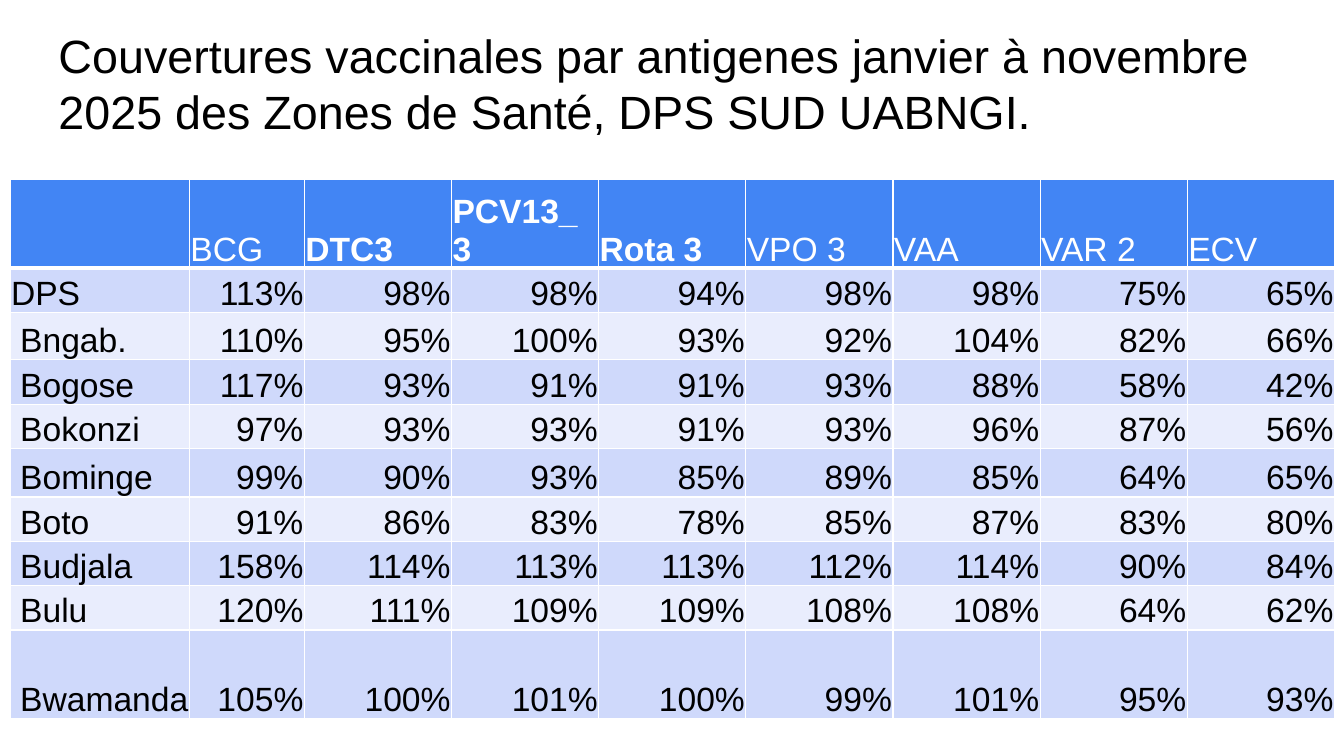
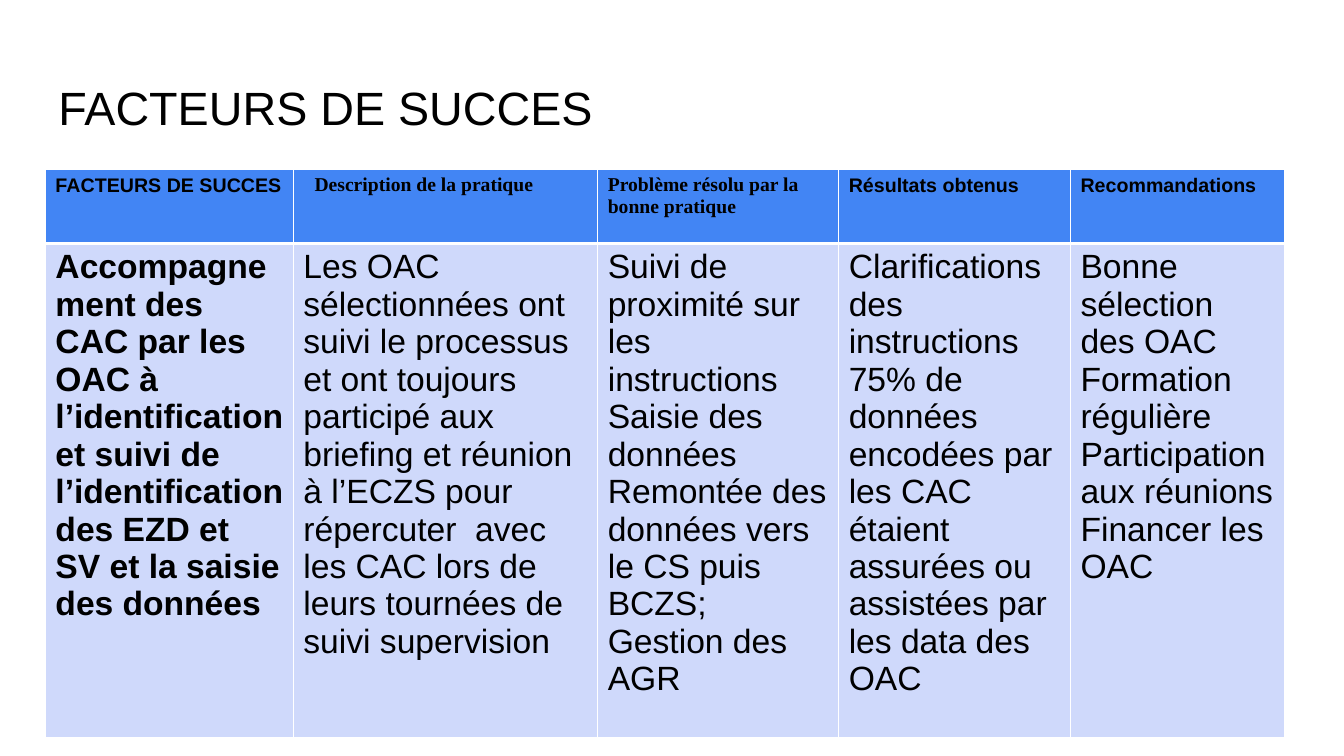
"""Build two slides on vaccine coverage and success factors, each a title over a table."""
from lxml.etree import SubElement
from pptx import Presentation
from pptx.dml.color import RGBColor
from pptx.enum.text import MSO_ANCHOR, PP_ALIGN
from pptx.oxml.ns import qn
from pptx.util import Inches, Pt

BLACK = RGBColor(0x00, 0x00, 0x00)
WHITE = RGBColor(0xFF, 0xFF, 0xFF)
HEADER_BLUE = RGBColor(0x42, 0x85, 0xF4)
BAND_BLUES = (RGBColor(0xCF, 0xD9, 0xFB), RGBColor(0xE9, 0xED, 0xFD))

deck = Presentation()
deck.slide_width, deck.slide_height = Inches(13.33), Inches(7.5)
COLUMN = deck.slide_width / 100
ROW = deck.slide_height / 100
TITLE_LEFT, TITLE_WIDTH = 3.38, 93.17
TITLE_FORMAT = {"name": "Arial", "size": Pt(33.3)}


def write(frame, text, color, font_format, alignment=PP_ALIGN.LEFT):
    for index, line in enumerate(text.split("\n")):
        para = frame.paragraphs[0] if index == 0 else frame.add_paragraph()
        para.alignment = alignment
        span = para.add_run()
        span.text = line
        span.font.color.rgb = color
        for name, value in font_format.items():
            setattr(span.font, name, value)


def add_titled_table(title, title_top, title_height, left, top, columns, rows):
    page = deck.slides.add_slide(deck.slide_layouts[6])
    box = page.shapes.add_textbox(
        int(TITLE_LEFT * COLUMN), int(title_top * ROW),
        int(TITLE_WIDTH * COLUMN), int(title_height * ROW))
    frame = box.text_frame
    frame.word_wrap = True
    for side in ("left", "right", "top", "bottom"):
        setattr(frame, f"margin_{side}", Inches(0.13))
    write(frame, title, BLACK, TITLE_FORMAT)

    table = page.shapes.add_table(
        len(rows), len(columns), int(left * COLUMN), int(top * ROW),
        int(sum(columns) * COLUMN), int(sum(rows) * ROW)).table
    for column, share in zip(table.columns, columns):
        column.width = int(share * COLUMN)
    for row, share in zip(table.rows, rows):
        row.height = int(share * ROW)
    for row_index, row in enumerate(table.rows):
        for cell in row.cells:
            properties = cell._tc.get_or_add_tcPr()
            for side in ("L", "R", "T", "B"):
                thick = (row_index, side) in ((0, "B"), (1, "T"))
                line = SubElement(properties, qn(f"a:ln{side}"), w=str(Pt(3 if thick else 1)))
                fill = SubElement(line, qn("a:solidFill"))
                SubElement(fill, qn("a:srgbClr"), val=str(WHITE))
            cell.fill.solid()
            cell.fill.fore_color.rgb = BAND_BLUES[(row_index - 1) % 2] if row_index else HEADER_BLUE
    return table


ANTIGENS = ("", "BCG", "DTC3", "PCV13_ 3", "Rota 3", "VPO 3", "VAA", "VAR 2", "ECV")
BOLD_ANTIGENS = ("DTC3", "PCV13_ 3", "Rota 3")
COVERAGE = (
    ("DPS", 113, 98, 98, 94, 98, 98, 75, 65),
    ("Bngab.", 110, 95, 100, 93, 92, 104, 82, 66),
    ("Bogose", 117, 93, 91, 91, 93, 88, 58, 42),
    ("Bokonzi", 97, 93, 93, 91, 93, 96, 87, 56),
    ("Bominge", 99, 90, 93, 85, 89, 85, 64, 65),
    ("Boto", 91, 86, 83, 78, 85, 87, 83, 80),
    ("Budjala", 158, 114, 113, 113, 112, 114, 90, 84),
    ("Bulu", 120, 111, 109, 109, 108, 108, 64, 62),
    ("Bwamanda", 105, 100, 101, 100, 99, 101, 95, 93),
)
coverage_table = add_titled_table(
    "Couvertures vaccinales par antigenes janvier à novembre 2025 des Zones de Santé, DPS SUD UABNGI.",
    1.87, 18, 0.75, 23.73, [13.35, 8.55] + [10.95] * 7,
    [11.73, 5.87, 6.27, 5.87, 5.87, 6.4, 5.87, 5.87, 5.87, 11.73])
for row_index, values in enumerate((ANTIGENS, *COVERAGE)):
    for column_index, value in enumerate(values):
        cell = coverage_table.cell(row_index, column_index)
        is_zone = column_index == 0 and row_index > 1
        cell_format = {
            "vertical_anchor": MSO_ANCHOR.BOTTOM,
            "margin_left": Inches(0.1 if is_zone else 0.01),
            "margin_right": Inches(0 if is_zone else 0.01),
            "margin_top": Inches(0.01),
            "margin_bottom": 0,
        }
        for name, setting in cell_format.items():
            setattr(cell, name, setting)
        is_rate = isinstance(value, int)
        if value:
            write(cell.text_frame, f"{value}%" if is_rate else value,
                  BLACK if row_index else WHITE,
                  {"name": "Arial", "size": Pt(24), "bold": value in BOLD_ANTIGENS},
                  PP_ALIGN.RIGHT if is_rate else PP_ALIGN.LEFT)

FACTORS = (
    ("FACTEURS DE SUCCES", "Arial",
     "Accompagnement des CAC par les OAC à l’identification et suivi de "
     "l’identification des EZD et SV et la saisie des données"),
    ("Description de la pratique", "Times New Roman",
     "Les OAC sélectionnées ont suivi le processus et ont toujours participé aux briefing "
     "et réunion à l’ECZS pour répercuter  avec les CAC lors de leurs tournées de suivi supervision"),
    ("Problème résolu par la bonne pratique", "Times New Roman",
     "Suivi de proximité sur les instructions\nSaisie des données\n"
     "Remontée des données vers le CS puis BCZS;\nGestion des AGR"),
    ("Résultats obtenus", "Arial",
     "Clarifications des instructions\n"
     "75% de données encodées par les CAC étaient assurées ou assistées par les data des OAC"),
    ("Recommandations", "Arial",
     "Bonne sélection des OAC\nFormation régulière\nParticipation aux réunions\nFinancer les OAC"),
)
factor_table = add_titled_table(
    "FACTEURS DE SUCCES", 8.67, 11.07, 3.38, 22.4,
    [18.45, 22.65, 17.93, 17.25, 15.9], [9.8, 62.8])
for column_index, (heading, heading_font, body) in enumerate(FACTORS):
    write(factor_table.cell(0, column_index).text_frame, heading, BLACK,
          {"name": heading_font, "size": Pt(14), "bold": True})
    write(factor_table.cell(1, column_index).text_frame, body, BLACK,
          {"name": "Arial", "size": Pt(24), "bold": column_index == 0})
factor_table.cell(0, 1).margin_left = Inches(0.21)

deck.save("out.pptx")
